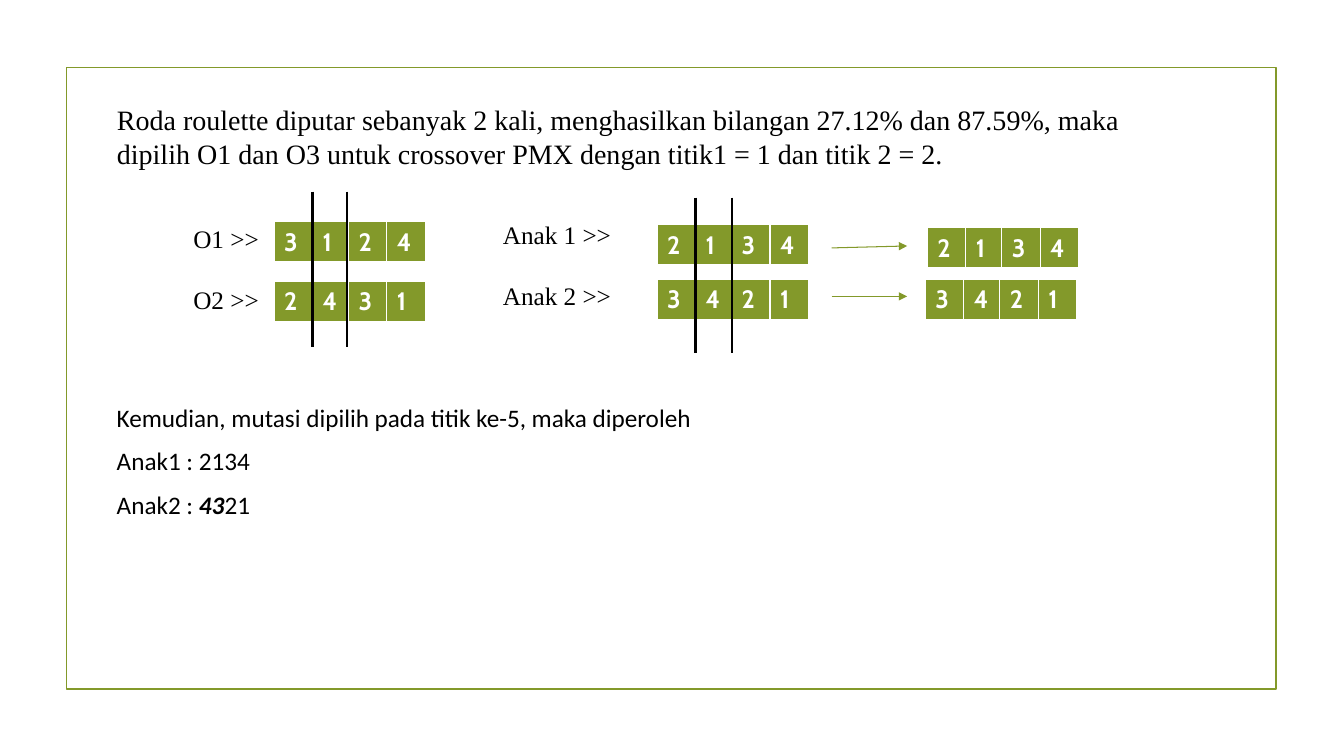
from lxml import etree
from pptx import Presentation
from pptx.dml.color import RGBColor
from pptx.enum.shapes import MSO_CONNECTOR, MSO_SHAPE
from pptx.enum.text import MSO_ANCHOR, MSO_AUTO_SIZE
from pptx.oxml.ns import qn
from pptx.util import Pt

GREEN = RGBColor(0x83, 0x99, 0x2A)
BLACK = RGBColor(0, 0, 0)
WHITE = RGBColor(0xFF, 0xFF, 0xFF)
STRAIGHT = MSO_CONNECTOR.STRAIGHT
RECT = MSO_SHAPE.RECTANGLE
TOP = MSO_ANCHOR.TOP
NO_FIT = MSO_AUTO_SIZE.NONE

SERIF, SANS, GENE_FONT = "Times New Roman", "Calibri", "Cabin"
GENE_WIDTHS = (27.4, 25.8, 27.4, 27.4)
GENE_HEIGHT = 29.5
CUT_LENGTH = 111
BORDERS = (("a:lnL", 1), ("a:lnR", 1), ("a:lnT", 1), ("a:lnB", 3))

INTRO = ("Roda roulette diputar sebanyak 2 kali, menghasilkan bilangan 27.12% dan 87.59%, "
         "maka dipilih O1 dan O3 untuk crossover PMX dengan titik1 = 1 dan titik 2 = 2.")
CHROMOSOMES = (
    (195.8, 158.4, "3124"), (195.8, 201, "2431"),
    (469.4, 160.6, "2134"), (469.4, 199.4, "3421"),
    (662.4, 162.7, "2134"), (661, 199.4, "3421"),
)
CUTS = ((223.2, 136.8), (247.7, 136.8), (496.8, 141.1), (522.7, 141.1))
ARROWS = ((177.1, 175.7), (211.7, 211.7))


def add_text(p, text, font=SERIF, size=18, color=BLACK, bold=False, italic=False):
    r = p.add_run()
    r.text = text
    r.font.name = font
    r.font.size = Pt(size)
    r.font.color.rgb = color
    r.font.bold = bold
    r.font.italic = italic


def add_box(s, x, y, w, h):
    tf = s.shapes.add_textbox(Pt(x), Pt(y), Pt(w), Pt(h)).text_frame
    tf.word_wrap = True
    return tf


def add_frame(s):
    sp = s.shapes.add_shape(RECT, Pt(47.5), Pt(48.2), Pt(864), Pt(444.2))
    sp.shadow.inherit = False
    sp.fill.background()
    sp.line.color.rgb = GREEN
    sp.line.width = Pt(1.25)


def add_intro(s):
    s.shapes.title.element.getparent().remove(s.shapes.title.element)
    sp = s.placeholders[1]
    sp.left, sp.top, sp.width, sp.height = Pt(76.3), Pt(69.8), Pt(756.7), Pt(67.7)
    tf = sp.text_frame
    tf.auto_size = NO_FIT
    tf.vertical_anchor = TOP
    p = tf.paragraphs[0]
    p.space_before, p.space_after = Pt(4), Pt(6)
    pPr = p._p.get_or_add_pPr()
    pPr.set("marL", "0")
    pPr.set("indent", "0")
    etree.SubElement(pPr, qn("a:buNone"))
    add_text(p, INTRO, size=20)


def add_mutation(s):
    tf = add_box(s, 76.3, 280.8, 480.2, 94.3)
    lines = (
        (("Kemudian, mutasi dipilih pada titik ke-5, maka diperoleh", False),),
        (("Anak1 : 2134", False),),
        (("Anak2 : ", False), ("43", True), ("21", False)),
    )
    for i, parts in enumerate(lines):
        p = tf.add_paragraph() if i else tf.paragraphs[0]
        p.line_spacing = 1.15
        p.space_after = Pt(6)
        for text, swapped in parts:
            add_text(p, text, font=SANS, bold=swapped, italic=swapped)


def add_labels(s, x, y, w, first, second):
    tf = add_box(s, x, y, w, 72.7)
    add_text(tf.paragraphs[0], first)
    p = tf.add_paragraph()
    p.space_before = Pt(22)
    add_text(p, second)


def set_borders(cell):
    tcPr = cell._tc.get_or_add_tcPr()
    for i, (tag, width) in enumerate(BORDERS):
        ln = etree.Element(qn(tag), w=str(Pt(width)))
        fill = etree.SubElement(ln, qn("a:solidFill"))
        etree.SubElement(fill, qn("a:srgbClr"), val=str(WHITE))
        tcPr.insert(i, ln)


def add_chromosome(s, x, y, genes):
    table = s.shapes.add_table(1, len(genes), Pt(x), Pt(y),
                               Pt(sum(GENE_WIDTHS)), Pt(GENE_HEIGHT)).table
    for i, (gene, width) in enumerate(zip(genes, GENE_WIDTHS)):
        table.columns[i].width = Pt(width)
        cell = table.cell(0, i)
        cell.fill.solid()
        cell.fill.fore_color.rgb = GREEN
        set_borders(cell)
        add_text(cell.text_frame.paragraphs[0], gene, font=GENE_FONT,
                 color=WHITE, bold=True)


def add_line(s, x1, y1, x2, y2, color=BLACK, width=1.5, arrow=False):
    c = s.shapes.add_connector(STRAIGHT, Pt(x1), Pt(y1), Pt(x2), Pt(y2))
    c.line.color.rgb = color
    c.line.width = Pt(width)
    if arrow:
        etree.SubElement(c.line._get_or_add_ln(), qn("a:tailEnd"), type="triangle")
    etree.SubElement(c._element.spPr, qn("a:effectLst"))


def main():
    prs = Presentation()
    prs.slide_width, prs.slide_height = Pt(960), Pt(540)
    s = prs.slides.add_slide(prs.slide_layouts[1])
    add_frame(s)
    add_intro(s)
    add_mutation(s)
    for x, y, genes in CHROMOSOMES:
        add_chromosome(s, x, y, genes)
    for x, y in CUTS:
        add_line(s, x, y, x, y + CUT_LENGTH)
    add_labels(s, 131, 156.2, 66.2, "O1 >>", "O2 >>")
    add_labels(s, 352.1, 153.4, 94.3, "Anak 1 >>", "Anak 2 >>")
    for y1, y2 in ARROWS:
        add_line(s, 594, y1, 648, y2, color=GREEN, width=0.75, arrow=True)
    prs.save("out.pptx")


if __name__ == "__main__":
    main()
